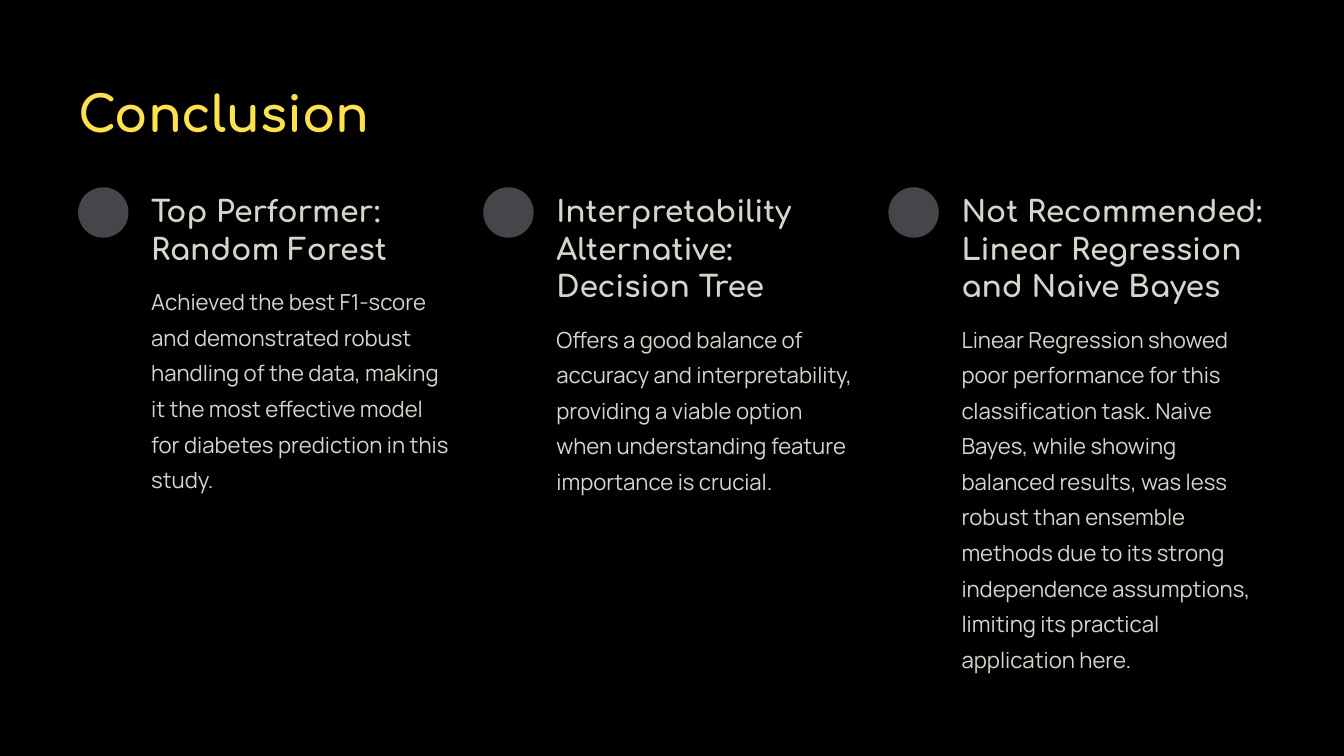
from dataclasses import dataclass

from pptx import Presentation
from pptx.dml.color import RGBColor
from pptx.enum.shapes import MSO_SHAPE
from pptx.util import Inches, Pt

ROUND_RECT = MSO_SHAPE.ROUNDED_RECTANGLE


@dataclass(frozen=True)
class Theme:
    """Colours, fonts and type sizes of the slide."""
    background: str = "000000"
    accent: str = "FFE14D"
    text: str = "D7D4CC"
    marker: str = "46464A"
    heading_font: str = "Comfortaa"
    body_font: str = "Manrope"
    title_size: float = 42.5
    heading_size: float = 25.5
    body_size: float = 19
    title_leading: float = 53
    heading_leading: float = 32
    body_leading: float = 30.5


THEME = Theme()

FINDINGS = [
    ("Top Performer: Random Forest", 2,
     "Achieved the best F1-score and demonstrated robust handling of the data, "
     "making it the most effective model for diabetes prediction in this study.", 6),
    ("Interpretability Alternative: Decision Tree", 3,
     "Offers a good balance of accuracy and interpretability, providing a viable "
     "option when understanding feature importance is crucial.", 5),
    ("Not Recommended: Linear Regression and Naive Bayes", 3,
     "Linear Regression showed poor performance for this classification task. "
     "Naive Bayes, while showing balanced results, was less robust than ensemble "
     "methods due to its strong independence assumptions, limiting its practical "
     "application here.", 10),
]


def add_text(slide, text, x, y, w, h, *, font, size, color, leading,
             bold=False, wrap=True):
    """Add a text box without margins, measured in inches."""
    tf = slide.shapes.add_textbox(Inches(x), Inches(y), Inches(w), Inches(h)).text_frame
    tf.word_wrap = wrap
    tf.margin_left = tf.margin_right = tf.margin_top = tf.margin_bottom = 0
    p = tf.paragraphs[0]
    p.line_spacing = Pt(leading)
    r = p.add_run()
    r.text = text
    r.font.name = font
    r.font.size = Pt(size)
    r.font.bold = bold
    r.font.color.rgb = RGBColor.from_string(color)


def add_title(slide, text, x, y, w, h):
    """Add the slide title."""
    add_text(slide, text, x, y, w, h, font=THEME.heading_font, size=THEME.title_size,
             color=THEME.accent, leading=THEME.title_leading, bold=True, wrap=False)


def add_marker(slide, x, y, size):
    """Add the round marker beside a finding."""
    sp = slide.shapes.add_shape(ROUND_RECT, Inches(x), Inches(y), Inches(size), Inches(size))
    sp.adjustments[0] = 0.5
    sp.shadow.inherit = False
    sp.fill.solid()
    sp.fill.fore_color.rgb = RGBColor.from_string(THEME.marker)
    sp.line.fill.background()


def add_finding(slide, finding, x, y, w):
    """Add a marker, with its heading and body text stacked to the right."""
    heading, heading_lines, body, body_lines = finding
    indent, gap = 0.87, 0.16
    text_x, text_w = x + indent, w - indent
    heading_y = y + 0.05
    heading_h = heading_lines * THEME.heading_leading / 72
    body_h = body_lines * THEME.body_leading / 72
    add_marker(slide, x, y, 0.6)
    add_text(slide, heading, text_x, heading_y, text_w, heading_h,
             font=THEME.heading_font, size=THEME.heading_size, color=THEME.text,
             leading=THEME.heading_leading, bold=True)
    add_text(slide, body, text_x, heading_y + heading_h + gap, text_w, body_h,
             font=THEME.body_font, size=THEME.body_size, color=THEME.text,
             leading=THEME.body_leading)


def add_findings(slide, findings, x, y, w, gap):
    """Place the findings in equal columns across the given width."""
    col_w = (w - gap * (len(findings) - 1)) / len(findings)
    for i, finding in enumerate(findings):
        add_finding(slide, finding, x + i * (col_w + gap), y, col_w)


def main():
    """Build and save the conclusion slide."""
    prs = Presentation()
    prs.slide_width, prs.slide_height = Inches(16), Inches(9)
    slide = prs.slides.add_slide(prs.slide_layouts[6])
    fill = slide.background.fill
    fill.solid()
    fill.fore_color.rgb = RGBColor.from_string(THEME.background)
    margin = 0.93
    add_title(slide, "Conclusion", margin, 0.96, 5.93, 0.74)
    add_findings(slide, FINDINGS, margin, 2.23, 16 - 2 * margin, 0.33)
    prs.save("out.pptx")


if __name__ == "__main__":
    main()
